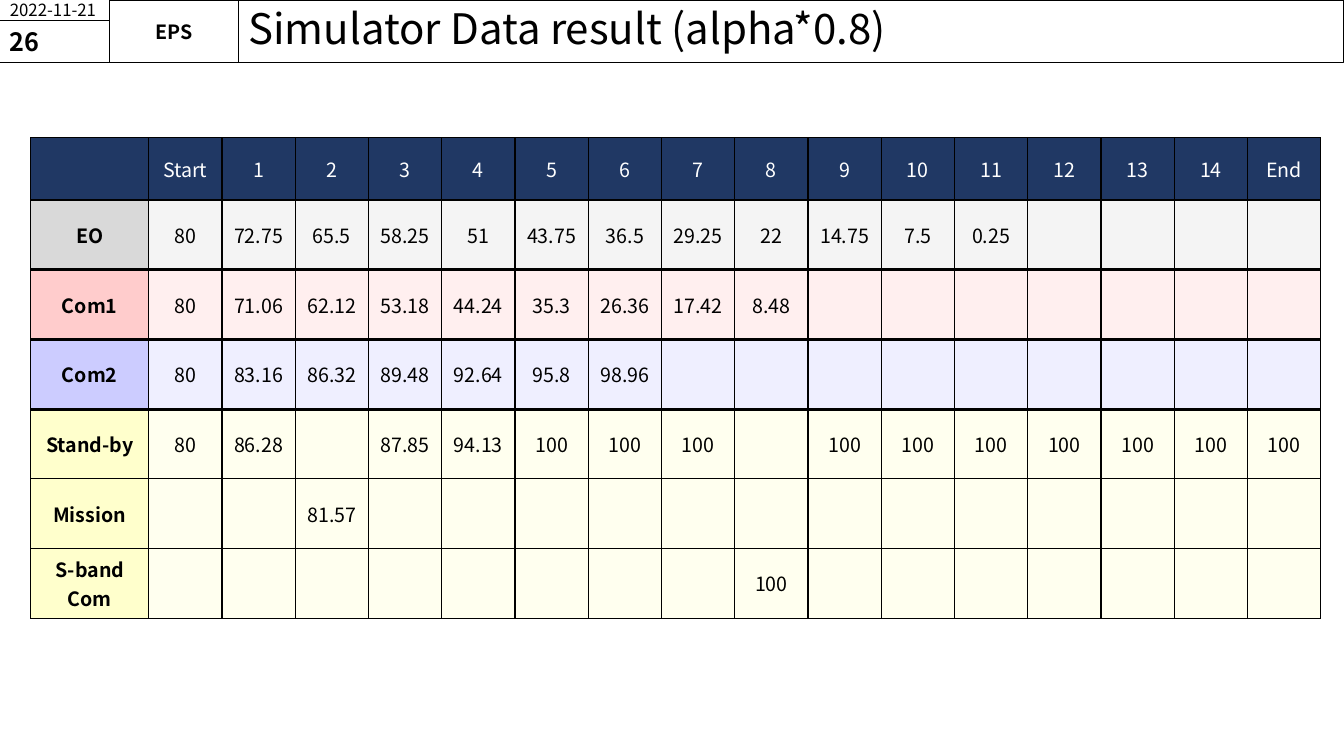
from dataclasses import dataclass

from lxml.etree import SubElement
from pptx import Presentation
from pptx.dml.color import RGBColor
from pptx.dml.fill import FillFormat
from pptx.enum.shapes import MSO_SHAPE as Shape
from pptx.enum.text import MSO_ANCHOR as Anchor, MSO_AUTO_SIZE as AutoSize, PP_ALIGN as Align
from pptx.oxml import parse_xml
from pptx.oxml.ns import nsdecls, qn
from pptx.slide import Slide
from pptx.table import _Cell as Cell
from pptx.text.text import TextFrame
from pptx.util import Pt

FONT = "Noto Sans CJK KR"
COLORS = {
    "black": "000000", "white": "FFFFFF", "navy": "203864",
    "gray": "D9D9D9", "light gray": "DBDBDB",
    "pink": "FFCCCC", "lavender": "CCCCFF", "cream": "FFFFCC",
}
THIN, THICK = 1, 2.25
OPACITY = 30

TABLE_LEFT, TABLE_TOP = 22, 98.3
LABEL_WIDTH, VALUE_WIDTH = 84.24, 52.33
HEADER_HEIGHT, ROW_HEIGHT = 44.64, 49.8


@dataclass
class HeaderBox:
    text: str
    left: float
    top: float
    width: float
    height: float
    size: float
    bold: bool = False
    align: Align = Align.LEFT
    margin: float = 7.2


@dataclass
class Mode:
    name: str
    label_color: str
    value_color: str
    values: dict[int, str]
    top_border: float = THIN
    bottom_border: float = THIN


def steps(*values: str) -> dict[int, str]:
    """Number consecutive values from the Start column."""
    return dict(enumerate(values))


TITLE = HeaderBox("Simulator Data result (alpha*0.8)", 170.2, 0, 789.8, 44.64, 30)
HEADER_BOXES = [
    HeaderBox("2022-11-21", 0, 0, 78, 14.4, 12),
    HeaderBox("EPS", 78, 0, 92.2, 44.64, 14, True, Align.CENTER, 0),
    HeaderBox("26", 0, 14.4, 78, 30.24, 18, True),
]
COLUMNS = ["Start", *(str(number) for number in range(1, 15)), "End"]
MODES = [
    Mode("EO", "gray", "light gray",
         steps("80", "72.75", "65.5", "58.25", "51", "43.75", "36.5", "29.25", "22",
               "14.75", "7.5", "0.25"), THIN, THICK),
    Mode("Com1", "pink", "pink",
         steps("80", "71.06", "62.12", "53.18", "44.24", "35.3", "26.36", "17.42", "8.48"),
         THICK, THICK),
    Mode("Com2", "lavender", "lavender",
         steps("80", "83.16", "86.32", "89.48", "92.64", "95.8", "98.96"), THICK, THICK),
    Mode("Stand-by", "cream", "cream",
         steps("80", "86.28", "", "87.85", "94.13", "100", "100", "100", "", *["100"] * 7),
         THICK, THIN),
    Mode("Mission", "cream", "cream", {2: "81.57"}),
    Mode("S-band Com", "cream", "cream", {8: "100"}),
]


def rgb(name: str) -> RGBColor:
    return RGBColor.from_string(COLORS[name])


def write(frame: TextFrame, text: str, *, size: float, color: str = "black",
          bold: bool = False, align: Align = Align.LEFT) -> None:
    paragraph = frame.paragraphs[0]
    paragraph.alignment = align
    run = paragraph.add_run()
    run.text = text
    run.font.name = FONT
    run.font.size = Pt(size)
    run.font.bold = bold
    run.font.color.rgb = rgb(color)


def format_header_box(shape, box: HeaderBox) -> None:
    shape.left, shape.top = Pt(box.left), Pt(box.top)
    shape.width, shape.height = Pt(box.width), Pt(box.height)
    shape.fill.background()
    shape.line.color.rgb = rgb("black")
    shape.line.width = Pt(0.75)
    frame = shape.text_frame
    frame.auto_size = AutoSize.NONE
    frame.word_wrap = True
    frame.vertical_anchor = Anchor.MIDDLE
    frame.margin_left = frame.margin_right = Pt(box.margin)
    frame.margin_top = frame.margin_bottom = Pt(box.margin / 2)
    write(frame, box.text, size=box.size, bold=box.bold, align=box.align)


def set_opacity(fill: FillFormat, percent: int) -> None:
    color = fill._xPr.find(qn("a:solidFill"))[0]
    SubElement(color, qn("a:alpha"), val=str(percent * 1000))


def set_borders(cell: Cell, top: float, bottom: float) -> None:
    """Draw black borders; the schema wants them ahead of the cell fill."""
    properties = cell._tc.get_or_add_tcPr()
    widths = {"lnL": THIN, "lnR": THIN, "lnT": top, "lnB": bottom}
    for position, (tag, width) in enumerate(widths.items()):
        properties.insert(position, parse_xml(
            f'<a:{tag} {nsdecls("a")} w="{Pt(width)}"><a:solidFill>'
            f'<a:srgbClr val="{COLORS["black"]}"/></a:solidFill></a:{tag}>'))


def fill_cell(cell: Cell, text: str, fill: str, *, opacity: int = 100,
              color: str = "black", bold: bool = False,
              top: float = THIN, bottom: float = THIN) -> None:
    cell.vertical_anchor = Anchor.MIDDLE
    cell.fill.solid()
    cell.fill.fore_color.rgb = rgb(fill)
    if opacity < 100:
        set_opacity(cell.fill, opacity)
    set_borders(cell, top, bottom)
    if text:
        write(cell.text_frame, text, size=14, color=color, bold=bold, align=Align.CENTER)


def add_result_table(slide: Slide) -> None:
    width = LABEL_WIDTH + VALUE_WIDTH * len(COLUMNS)
    height = HEADER_HEIGHT + ROW_HEIGHT * len(MODES)
    table = slide.shapes.add_table(
        len(MODES) + 1, len(COLUMNS) + 1,
        Pt(TABLE_LEFT), Pt(TABLE_TOP), Pt(width), Pt(height)).table
    table.first_row = table.horz_banding = False
    for index, column in enumerate(table.columns):
        column.width = Pt(VALUE_WIDTH if index else LABEL_WIDTH)
    for index, row in enumerate(table.rows):
        row.height = Pt(ROW_HEIGHT if index else HEADER_HEIGHT)

    for index, heading in enumerate(["", *COLUMNS]):
        fill_cell(table.cell(0, index), heading, "navy", color="white")
    for row_index, mode in enumerate(MODES, start=1):
        borders = {"top": mode.top_border, "bottom": mode.bottom_border}
        fill_cell(table.cell(row_index, 0), mode.name, mode.label_color, bold=True, **borders)
        for step in range(len(COLUMNS)):
            fill_cell(table.cell(row_index, step + 1), mode.values.get(step, ""),
                      mode.value_color, opacity=OPACITY, **borders)


def main() -> None:
    presentation = Presentation()
    presentation.slide_width, presentation.slide_height = Pt(960), Pt(540)
    slide = presentation.slides.add_slide(presentation.slide_layouts[5])

    title = slide.shapes.title
    format_header_box(title, TITLE)
    title.text_frame.paragraphs[0].line_spacing = 0.9
    for box in HEADER_BOXES:
        shape = slide.shapes.add_shape(Shape.RECTANGLE, 0, 0, 0, 0)
        shape.shadow.inherit = False
        format_header_box(shape, box)
    add_result_table(slide)

    presentation.save("out.pptx")


if __name__ == "__main__":
    main()
